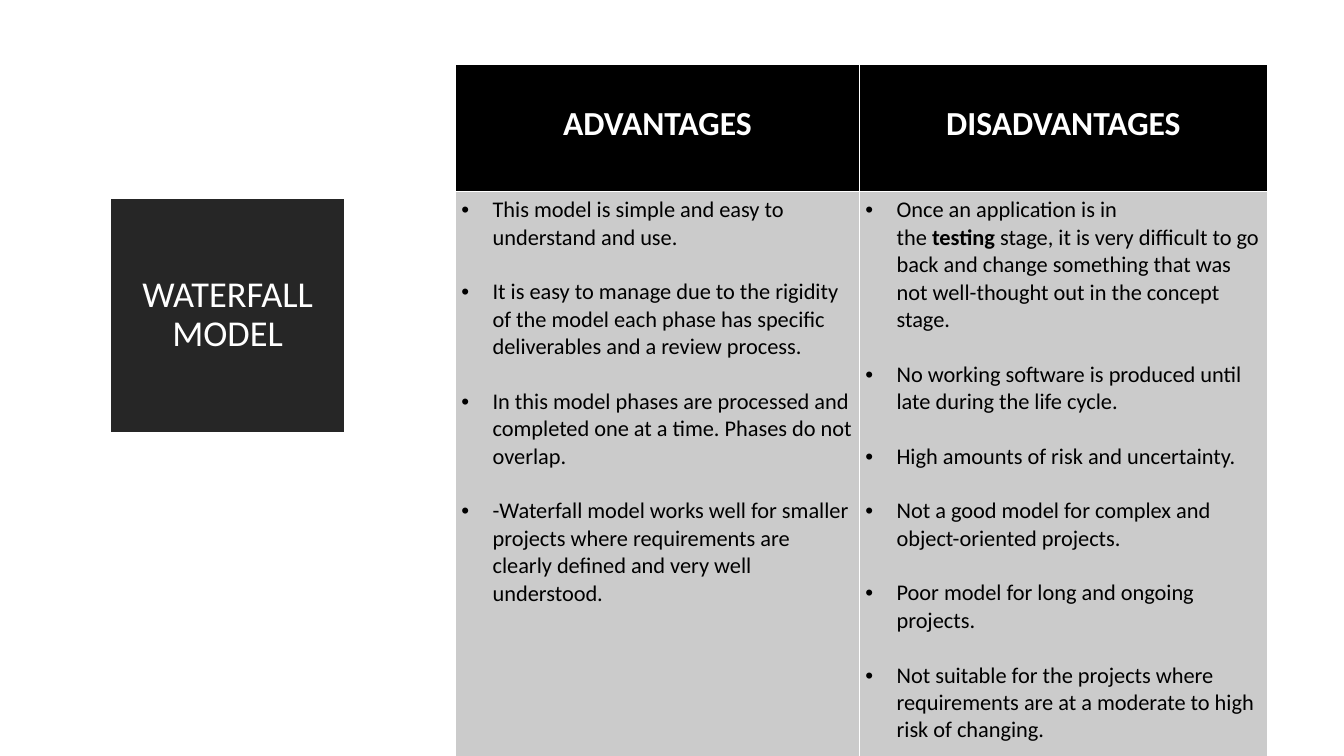
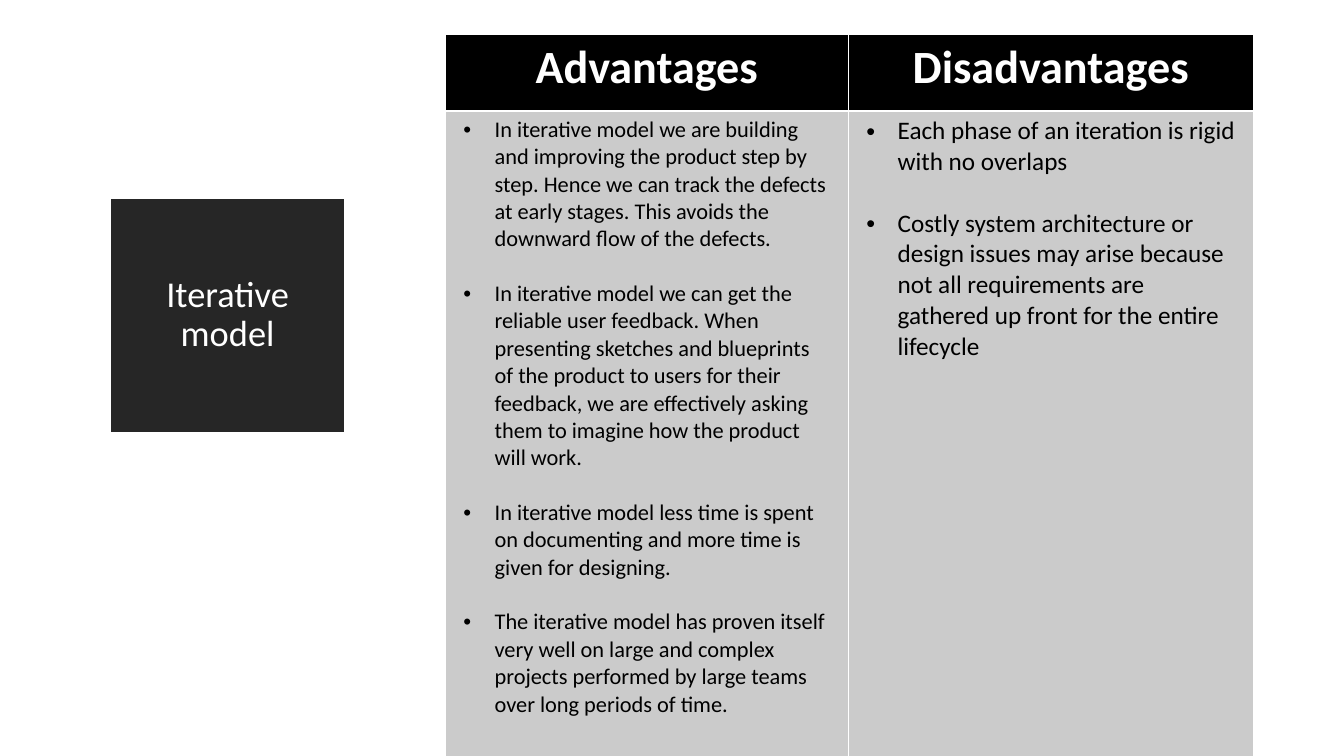
from dataclasses import dataclass
from typing import Any

from lxml.etree import SubElement
from pptx import Presentation
from pptx.dml.color import RGBColor
from pptx.enum.shapes import MSO_SHAPE as Preset
from pptx.enum.text import MSO_ANCHOR as Anchor, PP_ALIGN as Align
from pptx.oxml import parse_xml
from pptx.oxml.ns import nsdecls, qn
from pptx.util import Inches, Pt


@dataclass(frozen=True)
class Theme:
    font: str = "Calibri"
    bullet_font: str = "Arial"
    white: str = "FFFFFF"
    black: str = "000000"
    square: str = "262626"
    body_fill: str = "CBCBCB"
    title_size: float = 26
    square_line: float = 13.75
    thin_border: float = 0.45
    header_border: float = 1.47
    line_ratio: float = 1.22
    title_spacing: float = 0.9
    bullet_indent: float = 0.31


@dataclass(frozen=True)
class Run:
    text: str
    bold: bool = False


Bullet = str | tuple[Run, ...]


@dataclass(frozen=True)
class Column:
    heading: str
    width: float
    size: float
    bullets: tuple[Bullet, ...]


@dataclass(frozen=True)
class ModelSlide:
    title: str
    left: float
    top: float
    header_height: float
    body_height: float
    header_size: float
    header_inset: float
    side_inset: float
    columns: tuple[Column, ...]


THEME = Theme()
NO_BREAK_SPACE = chr(160)

MODELS = (
    ModelSlide(
        "WATERFALL MODEL", 4.52, 0.64, 1.26, 5.76, 24, 0.39, 0.06,
        (
            Column("ADVANTAGES", 4.01, 16, (
                "This model is simple and easy to understand and use.",
                "It is easy to manage due to the rigidity of the model each phase "
                "has specific deliverables and a review process.",
                "In this model phases are processed and completed one at a time. "
                "Phases do not overlap.",
                "-Waterfall model works well for smaller projects where requirements "
                "are clearly defined and very well understood.",
            )),
            Column("DISADVANTAGES", 4.05, 16, (
                (
                    Run("Once an application is in the" + NO_BREAK_SPACE),
                    Run("testing", True),
                    Run(NO_BREAK_SPACE + "stage, it is very difficult to go back and "
                        "change something that was not well-thought out in the concept "
                        "stage."),
                ),
                "No working software is produced until late during the life cycle.",
                "High amounts of risk and uncertainty.",
                "Not a good model for complex and object-oriented projects.",
                "Poor model for long and ongoing projects.",
                "Not suitable for the projects where requirements are at a moderate "
                "to high risk of changing.",
            )),
        ),
    ),
    ModelSlide(
        "Iterative model", 4.42, 0.34, 0.76, 6.6, 33, 0.05, 0.18,
        (
            Column("Advantages", 4, 16, (
                "In iterative model we are building and improving the product step by "
                "step. Hence we can track the defects at early stages. This avoids the "
                "downward flow of the defects.",
                "In iterative model we can get the reliable user feedback. When "
                "presenting sketches and blueprints of the product to users for their "
                "feedback, we are effectively asking them to imagine how the product "
                "will work.",
                "In iterative model less time is spent on documenting and more time is "
                "given for designing.",
                "The iterative model has proven itself very well on large and complex "
                "projects performed by large teams over long periods of time.",
            )),
            Column("Disadvantages", 4.02, 18, (
                "Each phase of an iteration is rigid with no overlaps",
                "Costly system architecture or design issues may arise because not all "
                "requirements are gathered up front for the entire lifecycle",
            )),
        ),
    ),
)


def set_format(target: Any, values: dict[str, Any]) -> None:
    for name, value in values.items():
        setattr(target, name, value)


def set_fill(target: Any, color: str) -> None:
    target.fill.solid()
    target.fill.fore_color.rgb = RGBColor.from_string(color)


def add_run(paragraph: Any, text: str, size: float, color: str, bold: bool = False) -> None:
    run = paragraph.add_run()
    run.text = text
    set_format(run.font, {"name": THEME.font, "size": Pt(size), "bold": bold})
    run.font.color.rgb = RGBColor.from_string(color)


def add_bullet(paragraph: Any, bullet: Bullet, size: float, first: bool) -> None:
    if not first:
        paragraph.space_before = Pt(round(size * THEME.line_ratio, 1))
    properties = paragraph._p.get_or_add_pPr()
    indent = Inches(THEME.bullet_indent)
    properties.set("marL", str(indent))
    properties.set("indent", str(-indent))
    color = SubElement(properties, qn("a:buClr"))
    SubElement(color, qn("a:srgbClr"), val=THEME.black)
    SubElement(properties, qn("a:buFont"), typeface=THEME.bullet_font)
    SubElement(properties, qn("a:buChar"), char="•")
    runs = (Run(bullet),) if isinstance(bullet, str) else bullet
    for run in runs:
        add_run(paragraph, run.text, size, THEME.black, run.bold)


def set_borders(cell: Any, top: float, bottom: float) -> None:
    widths = {"lnL": THEME.thin_border, "lnR": THEME.thin_border, "lnT": top, "lnB": bottom}
    properties = cell._tc.get_or_add_tcPr()
    for position, (side, width) in enumerate(widths.items()):
        properties.insert(position, parse_xml(
            f'<a:{side} {nsdecls("a")} w="{Pt(width)}"><a:solidFill>'
            f'<a:srgbClr val="{THEME.white}"/></a:solidFill></a:{side}>'
        ))


def style_cell(cell: Any, fill: str, side_inset: float, top_inset: float,
               top_border: float, bottom_border: float) -> None:
    set_format(cell, {
        "margin_left": Inches(side_inset),
        "margin_right": Inches(side_inset),
        "margin_top": Inches(top_inset),
        "margin_bottom": Inches(0.05),
        "vertical_anchor": Anchor.TOP,
    })
    set_fill(cell, fill)
    set_borders(cell, top_border, bottom_border)


def add_title_square(slide: Any, title: str) -> None:
    side = Inches(2.12)
    shape = slide.shapes.add_shape(Preset.RECTANGLE, Inches(1.2), Inches(2.07), side, side)
    shape.shadow.inherit = False
    set_fill(shape, THEME.square)
    set_fill(shape.line, THEME.square)
    shape.line.width = Pt(THEME.square_line)
    SubElement(shape.line._get_or_add_ln(), qn("a:miter"), lim="800000")
    set_format(shape.text_frame, {"word_wrap": True, "vertical_anchor": Anchor.MIDDLE})
    paragraph = shape.text_frame.paragraphs[0]
    set_format(paragraph, {"alignment": Align.CENTER, "line_spacing": THEME.title_spacing})
    add_run(paragraph, title, THEME.title_size, THEME.white)


def add_comparison(slide: Any, model: ModelSlide) -> None:
    width = sum(column.width for column in model.columns)
    heights = (model.header_height, model.body_height)
    table = slide.shapes.add_table(
        len(heights), len(model.columns), Inches(model.left), Inches(model.top),
        Inches(width), Inches(sum(heights)),
    ).table
    table.horz_banding = False
    for row, height in zip(table.rows, heights):
        row.height = Inches(height)
    for index, column in enumerate(model.columns):
        table.columns[index].width = Inches(column.width)
        header, body = table.cell(0, index), table.cell(1, index)
        style_cell(header, THEME.black, model.side_inset, model.header_inset,
                   THEME.thin_border, THEME.header_border)
        style_cell(body, THEME.body_fill, model.side_inset, 0.05,
                   THEME.header_border, THEME.thin_border)
        heading = header.text_frame.paragraphs[0]
        heading.alignment = Align.CENTER
        add_run(heading, column.heading, model.header_size, THEME.white, True)
        frame = body.text_frame
        for number, bullet in enumerate(column.bullets):
            paragraph = frame.add_paragraph() if number else frame.paragraphs[0]
            add_bullet(paragraph, bullet, column.size, number == 0)


def main() -> None:
    presentation = Presentation()
    set_format(presentation, {"slide_width": Inches(13.34), "slide_height": Inches(7.5)})
    for model in MODELS:
        slide = presentation.slides.add_slide(presentation.slide_layouts[6])
        add_title_square(slide, model.title)
        add_comparison(slide, model)
    presentation.save("out.pptx")


if __name__ == "__main__":
    main()
